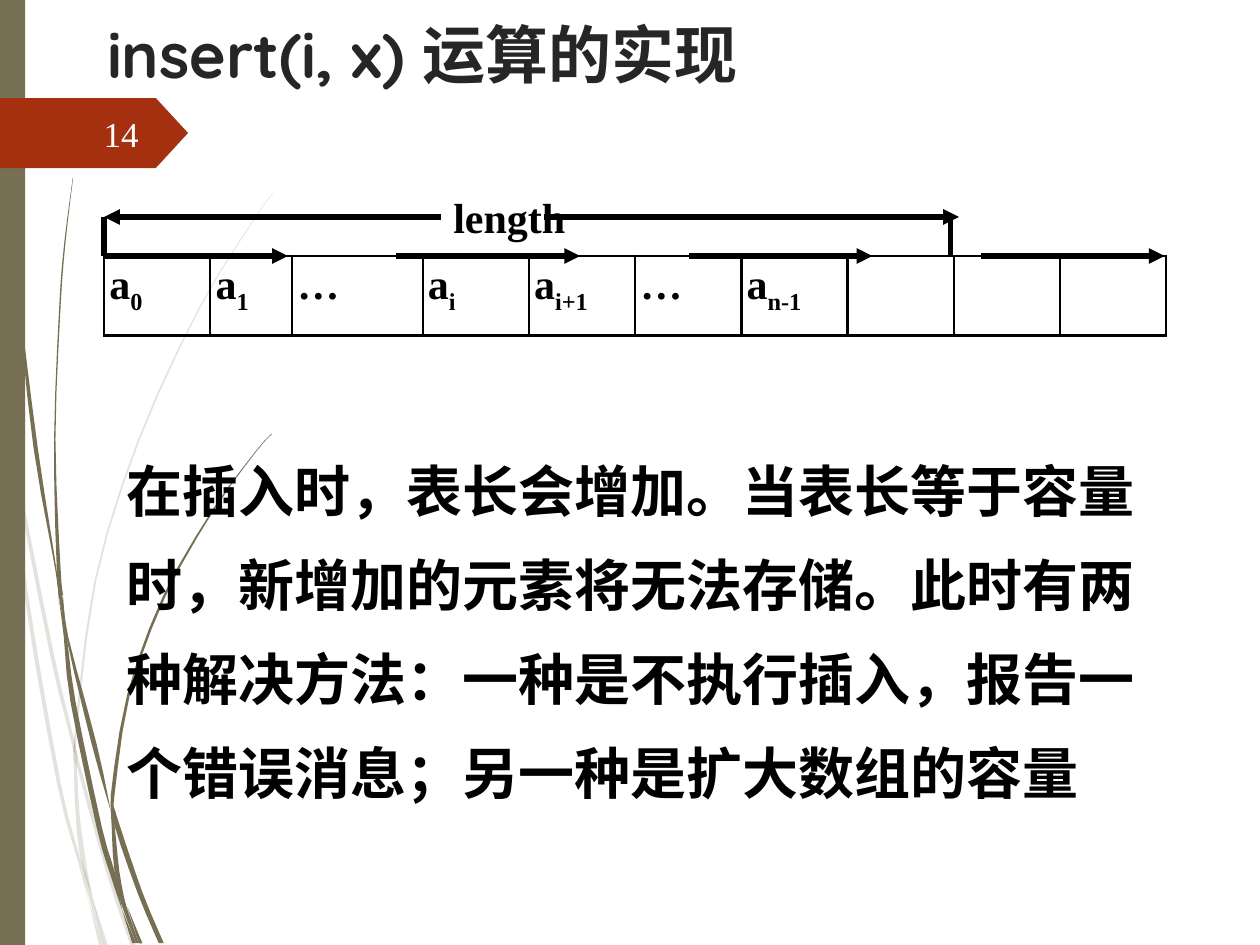
from pptx import Presentation
from pptx.dml.color import RGBColor
from pptx.enum.shapes import MSO_CONNECTOR, MSO_SHAPE
from pptx.enum.text import MSO_ANCHOR, MSO_AUTO_SIZE, PP_ALIGN
from pptx.oxml.ns import qn
from pptx.util import Pt
from lxml.etree import SubElement

OLIVE = RGBColor(0x76, 0x6F, 0x54)
RUST = RGBColor(0xA5, 0x30, 0x10)
DARK = RGBColor(0x26, 0x26, 0x26)
BLACK = RGBColor(0, 0, 0)
WHITE = RGBColor(0xFE, 0xFF, 0xFF)
SERIF = "Times New Roman"

# Grass blades: rows of (y, left x, right x) in points, from top to bottom
PALE = [
    [(203, 0, 0), (215, 0, 1.6), (232, 2.5, 4.2), (252, 5.6, 5.6)],
    [(248, 7.2, 7.2), (271, 8.6, 10.5), (375, 28.8, 31),
     (422, 40.3, 42.2), (431, 42.5, 42.5)],
    [(429, 43.9, 43.9), (438, 44.1, 46), (500, 61.2, 63.4),
     (541, 74.9, 77.8)],
    [(512, 52.6, 52.6), (541, 59.8, 61.9)],
    [(252, 5.8, 5.8), (338, 13.7, 15.8), (447, 32.4, 34.6),
     (492, 44.5, 46.1), (514, 50.4, 50.4)],
    [(431, 41.8, 41.8), (439, 42.2, 43.9), (465, 43.2, 45.4),
     (492, 46.1, 49), (512, 52.6, 52.6)],
    [(110, 156, 156.3), (126, 144.5, 145), (176, 113.6, 114.4),
     (251, 79, 80), (332, 53.9, 55), (421, 42.5, 43.8), (429, 43.9, 43.9)],
    [(514, 50.4, 50.4), (541, 56.9, 59)],
    [(422, 42.5, 42.5), (431, 41.8, 43.9), (439, 43.9, 43.9)],
    [(492, 46.8, 46.8), (509, 49.7, 52), (541, 59, 59.8)],
]
DEEP = [
    [(0, 1.4, 2.2), (79, 3.6, 4.3), (168, 10, 11), (256, 19.2, 21.6),
     (326, 31.7, 32.4), (346, 33.8, 33.8)],
    [(340, 36, 36), (364, 37.9, 39), (426, 52.6, 55.4), (464, 63.4, 63.4)],
    [(462, 65.5, 65.5), (472, 65.5, 68.5), (510, 78.5, 81.4),
     (539, 90.7, 93.6)],
    [(343, 33.8, 33.8), (364, 36.5, 38.2), (401, 40.3, 43.2),
     (473, 55.3, 58.3), (498, 62.5, 65.5), (520, 69.8, 69.8)],
    [(101.5, 41.6, 41.8), (139, 36.7, 37.4), (176, 33.8, 34.6),
     (251, 30.9, 31.7), (323, 32.4, 34.5), (340, 35.3, 36)],
    [(518, 72.7, 72.7), (539, 79.2, 81.4)],
    [(323, 32.4, 32.4), (340, 33.5, 35.6), (364, 38.2, 38.2)],
    [(248, 155, 155.5), (258, 146, 146.5), (292, 121, 122),
     (341, 93, 94.5), (397, 72.7, 74.2), (454, 63.4, 65.5),
     (462, 65.5, 65.5)],
    [(520, 69.8, 69.8), (539, 75.6, 77.8)],
    [(464, 63.4, 63.4), (472, 63.8, 65.5), (498, 65.5, 68.2),
     (518, 72, 72)],
    [(454, 63.4, 63.4), (464, 63.4, 65.5), (472, 65.5, 65.5)],
    [(498, 65.5, 65.5), (516, 69.1, 71.6), (539, 77.8, 79.2)],
]

CELLS = [("a", "0"), ("a", "1"), ("…", ""), ("a", "i"), ("a", "i+1"),
         ("…", ""), ("a", "n-1"), ("", ""), ("", ""), ("", "")]
BODY = ("在插入时，表长会增加。当表长等于容量时，新增加的元素将无法存储。"
        "此时有两种解决方法：一种是不执行插入，报告一个错误消息；"
        "另一种是扩大数组的容量")

# Array geometry
LEFT, TOP, WIDE, HIGH = 59.5, 146.3, 60.7, 45.4
SPAN = 124


def paint(shape, color):
    shape.shadow.inherit = False
    shape.fill.solid()
    shape.fill.fore_color.rgb = color
    shape.line.fill.background()


def smooth(rows, steps=3):
    """Catmull-Rom curve through the rows."""
    pts = [rows[0], *rows, rows[-1]]
    out = []
    for a, b, c, d in zip(pts, pts[1:], pts[2:], pts[3:]):
        for n in range(steps):
            t = n / steps
            out.append([
                q + t / 2 * (r - p + t * (2 * p - 5 * q + 4 * r - s
                             + t * (3 * (q - r) + s - p)))
                for p, q, r, s in zip(a, b, c, d)])
    return out + [rows[-1]]


def add_blade(slide, rows, alpha=None):
    curve = smooth(rows)
    edge = [(l, y) for y, l, r in curve] + [(r, y) for y, l, r in curve[::-1]]
    edge = [(x * 100, y * 100) for x, y in edge]
    pen = slide.shapes.build_freeform(*edge[0], scale=Pt(0.01))
    pen.add_line_segments(edge[1:], close=True)
    blade = pen.convert_to_shape()
    paint(blade, OLIVE)
    if alpha:
        tone = blade.fill._xPr.find(qn("a:solidFill"))[0]
        SubElement(tone, qn("a:alpha")).set("val", str(alpha * 1000))


def add_block(slide, kind, x, y, w, h, color):
    block = slide.shapes.add_shape(kind, Pt(x), Pt(y), Pt(w), Pt(h))
    paint(block, color)
    return block


def add_run(para, text, size, color=BLACK, font=SERIF, bold=True, sub=False):
    run = para.add_run()
    run.text = text
    run.font.size = Pt(size)
    run.font.bold = bold
    run.font.name = font
    run.font.color.rgb = color
    if sub:
        run._r.get_or_add_rPr().set("baseline", "-25000")


def add_label(slide, x, y, w, h, text, size, **style):
    box = slide.shapes.add_textbox(Pt(x), Pt(y), Pt(w), Pt(h))
    box.text_frame.word_wrap = True
    para = box.text_frame.paragraphs[0]
    add_run(para, text, size, **style)
    return box.text_frame, para


def add_line(slide, x1, y1, x2, y2, arrow=True):
    line = slide.shapes.add_connector(
        MSO_CONNECTOR.STRAIGHT, Pt(x1), Pt(y1), Pt(x2), Pt(y2))
    line.line.color.rgb = BLACK
    line.line.width = Pt(3)
    if arrow:
        SubElement(line.line._get_or_add_ln(),
                   qn("a:tailEnd")).set("type", "triangle")
    SubElement(line._element.spPr, qn("a:effectLst"))


def add_border(cell):
    props = cell._tc.get_or_add_tcPr()
    for n, side in enumerate(("lnL", "lnR", "lnT", "lnB")):
        edge = props.makeelement(qn("a:" + side), {"w": str(Pt(1.47))})
        fill = SubElement(edge, qn("a:solidFill"))
        SubElement(fill, qn("a:srgbClr")).set("val", str(BLACK))
        props.insert(n, edge)


def add_array(slide):
    count = len(CELLS)
    table = slide.shapes.add_table(
        1, count, Pt(LEFT), Pt(TOP), Pt(WIDE * count), Pt(HIGH)).table
    table.first_row = table.horz_banding = False
    for n, (base, sub) in enumerate(CELLS):
        # The third cell borrows some width from the second
        shift = {1: -13.9, 2: 13.9}.get(n, 0)
        table.columns[n].width = Pt(WIDE + shift)
        cell = table.cell(0, n)
        cell.margin_left = cell.margin_right = Pt(3)
        cell.fill.background()
        add_border(cell)
        para = cell.text_frame.paragraphs[0]
        if base:
            add_run(para, base, 24)
        if sub:
            add_run(para, sub, 24, sub=True)


def add_title(slide):
    title = slide.shapes.title
    title.left, title.top = Pt(54), Pt(4.3)
    title.width, title.height = Pt(612), Pt(90)
    frame = title.text_frame
    frame.auto_size = MSO_AUTO_SIZE.NONE
    frame.vertical_anchor = MSO_ANCHOR.TOP
    frame.margin_top = Pt(4.3)
    para = frame.paragraphs[0]
    para.alignment = PP_ALIGN.LEFT
    add_run(para, "insert(i, x) 运算的实现", 36, DARK, "Quicksand")


def main():
    deck = Presentation()
    deck.slide_width, deck.slide_height = Pt(720), Pt(540)
    slide = deck.slides.add_slide(deck.slide_layouts[5])

    # Grass, side bar and page tag
    for rows in PALE:
        add_blade(slide, rows, 20)
    for rows in DEEP:
        add_blade(slide, rows)
    add_block(slide, MSO_SHAPE.RECTANGLE, 0, 0, 14.4, 540, OLIVE)
    tag = add_block(slide, MSO_SHAPE.PENTAGON, 0, 56, 107.5, 40, RUST)
    tag.adjustments[0] = 0.46

    # Title and page number
    add_title(slide)
    frame, para = add_label(slide, 40.3, 62, 46, 28.8, "14", 20,
                            color=WHITE, bold=False)
    frame.vertical_anchor = MSO_ANCHOR.MIDDLE
    para.alignment = PP_ALIGN.RIGHT

    # Arrows over the array and the length span
    for n in range(4):
        start = LEFT + 167 * n
        add_line(slide, start, TOP, start + 105, TOP)
    for x in (LEFT, 543):
        add_line(slide, x, SPAN, x, TOP, arrow=False)
    add_label(slide, 252, 106, 133, 35, "length", 24)
    add_line(slide, 311, SPAN, 548, SPAN)
    add_line(slide, 252, SPAN, LEFT, SPAN)

    # Explanation and array
    frame, para = add_label(slide, 65, 242, 601, 222.5, BODY, 32)
    para.line_spacing = 1.4
    add_array(slide)

    deck.save("out.pptx")


if __name__ == "__main__":
    main()
